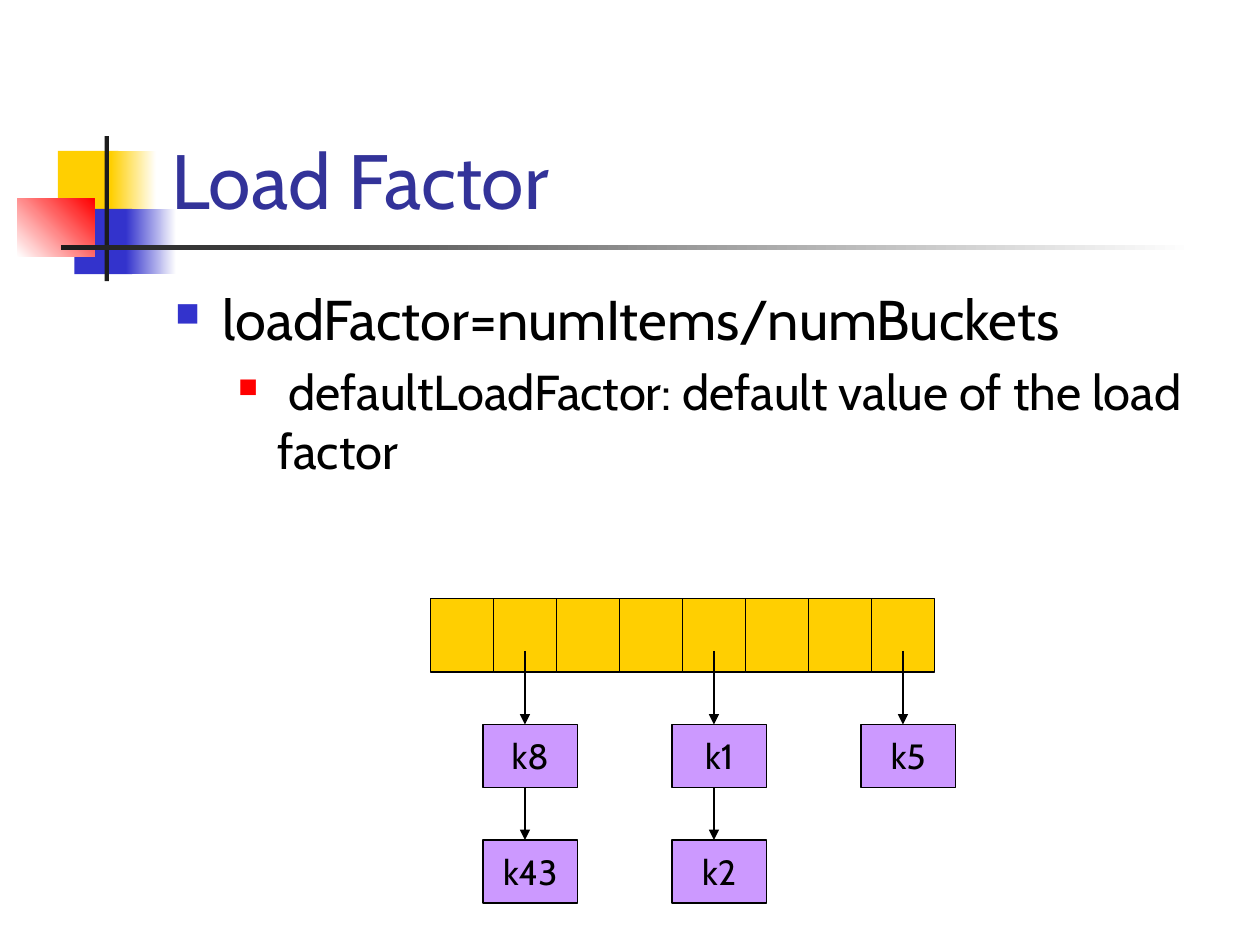
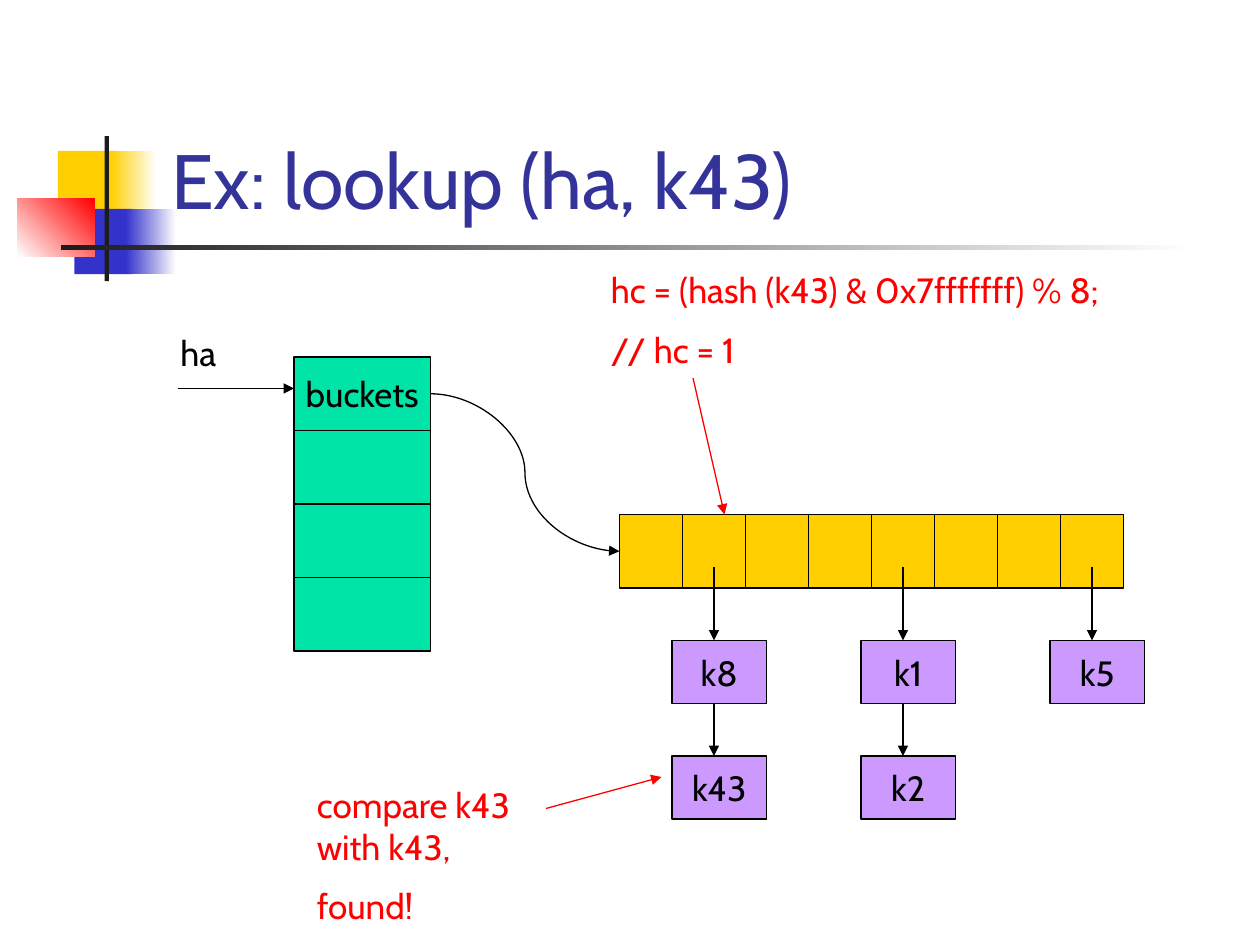
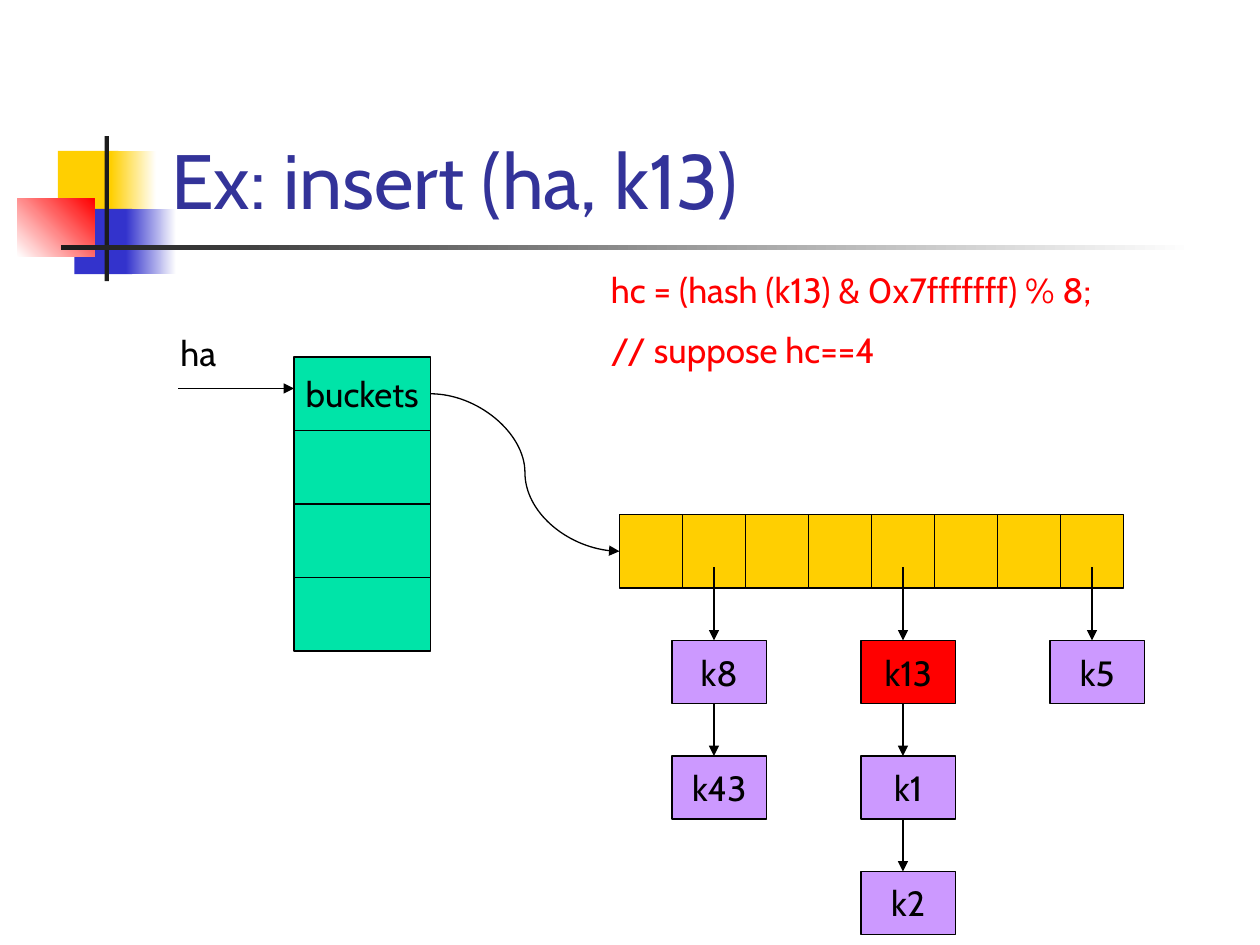
from lxml import etree
from pptx import Presentation
from pptx.dml.color import RGBColor
from pptx.enum import shapes, text
from pptx.oxml import ns
from pptx.util import Pt

FONT = "Cabin"
BLACK = RGBColor(0x00, 0x00, 0x00)
WHITE = RGBColor(0xFF, 0xFF, 0xFF)
INK = RGBColor(0x1C, 0x1C, 0x1C)
TITLE_BLUE = RGBColor(0x33, 0x33, 0x99)
BLUE = RGBColor(0x33, 0x33, 0xCC)
GOLD = RGBColor(0xFF, 0xCF, 0x01)
RED = RGBColor(0xFF, 0x00, 0x00)
GREEN = RGBColor(0x00, 0xE4, 0xA8)
LILAC = RGBColor(0xCC, 0x99, 0xFF)

CELL_W, CELL_H = 36, 42          # one bucket of the array
NODE_W, NODE_H = 54, 36          # one key in a chain
CHAIN_TOP, CHAIN_STEP = 72, 66   # first key below the array top, and key pitch


# Basic parts
def add_run(p, words, size, color):
    r = p.add_run()
    r.text = words
    r.font.name = FONT
    r.font.size = Pt(size)
    r.font.color.rgb = color


def add_text(slide, left, top, width, height, lines, size=20, color=BLACK,
             anchor=text.MSO_ANCHOR.TOP):
    tf = slide.shapes.add_textbox(Pt(left), Pt(top), Pt(width), Pt(height)).text_frame
    tf.word_wrap = True
    tf.vertical_anchor = anchor
    for i, line in enumerate(lines):
        p = tf.paragraphs[0] if i == 0 else tf.add_paragraph()
        if i:
            p.space_before = Pt(size / 2)
        add_run(p, line, size, color)


def add_rect(slide, left, top, width, height):
    sp = slide.shapes.add_shape(shapes.MSO_SHAPE.RECTANGLE,
                                Pt(left), Pt(top), Pt(width), Pt(height))
    sp.shadow.inherit = False
    sp.line.fill.background()
    return sp


def add_box(slide, left, top, width, height, fill, label=None):
    sp = add_rect(slide, left, top, width, height)
    sp.fill.solid()
    sp.fill.fore_color.rgb = fill
    sp.line.color.rgb = BLACK
    sp.line.width = Pt(0.75)
    if label:
        tf = sp.text_frame
        tf.word_wrap = False
        tf.vertical_anchor = text.MSO_ANCHOR.MIDDLE
        p = tf.paragraphs[0]
        p.alignment = text.PP_ALIGN.CENTER
        add_run(p, label, 20, BLACK)


def add_arrow(slide, x1, y1, x2, y2, color=BLACK, kind=shapes.MSO_CONNECTOR.STRAIGHT):
    cx = slide.shapes.add_connector(kind, Pt(x1), Pt(y1), Pt(x2), Pt(y2))
    cx.line.color.rgb = color
    cx.line.width = Pt(0.75)
    etree.SubElement(cx.line._get_or_add_ln(), ns.qn("a:tailEnd"), type="triangle")
    etree.SubElement(cx._element.spPr, ns.qn("a:effectLst"))


# Title band shared by all slides
def add_ornament(slide, left, top):
    parts = [  # x, y, width, height, start colour, end colour, angle
        (23.1, 8.4, 34.6, 37.4, GOLD, None, 0),
        (53.4, 8.4, 25.9, 37.4, GOLD, WHITE, 0),
        (32.5, 41.5, 33.1, 37.4, BLUE, None, 0),
        (62, 41.5, 28.8, 37.4, BLUE, WHITE, 0),
        (0, 35.8, 44, 33.1, WHITE, RED, 45),
        (49.8, 0, 2.5, 82.8, INK, None, 0),
        (24.6, 62.4, 648, 2.5, INK, WHITE, 0),
    ]
    for x, y, width, height, start, end, angle in parts:
        fill = add_rect(slide, left + x, top + y, width, height).fill
        if end is None:
            fill.solid()
            fill.fore_color.rgb = start
        else:
            fill.gradient()
            fill.gradient_angle = angle
            for stop, color in zip(fill.gradient_stops, (start, end)):
                stop.color.rgb = color


def add_titled_slide(prs, title):
    slide = prs.slides.add_slide(prs.slide_layouts[6])
    add_ornament(slide, 10, 77.8)
    add_text(slide, 90.7, 16.6, 613.4, 115.2, [title], 44, TITLE_BLUE,
             text.MSO_ANCHOR.BOTTOM)
    return slide


# Bulleted body
def add_bullets(slide, left, top, width, height, items):
    styles = [  # size, margin, hanging indent, bullet colour, bullet percent
        (32, 27, 27, BLUE, 60),
        (28, 58.5, 22.5, RED, 55),
    ]
    tf = slide.shapes.add_textbox(Pt(left), Pt(top), Pt(width), Pt(height)).text_frame
    tf.word_wrap = True
    for i, (level, words) in enumerate(items):
        size, margin, hang, color, percent = styles[level]
        p = tf.paragraphs[0] if i == 0 else tf.add_paragraph()
        p.level = level
        if i:
            p.space_before = Pt(size / 5)
        pPr = p._p.get_or_add_pPr()
        pPr.set("marL", str(Pt(margin)))
        pPr.set("indent", str(-Pt(hang)))
        clr = etree.SubElement(pPr, ns.qn("a:buClr"))
        etree.SubElement(clr, ns.qn("a:srgbClr"), val=str(color))
        etree.SubElement(pPr, ns.qn("a:buSzPct"), val=str(percent * 1000))
        etree.SubElement(pPr, ns.qn("a:buChar"), char="■")
        add_run(p, words, size, BLACK)


# Bucket array with its chains of keys
def add_hash_table(slide, left, top, chains, new_key=None):
    for i in range(8):
        add_box(slide, left + i * CELL_W, top, CELL_W, CELL_H, GOLD)
    for bucket, keys in chains.items():
        x = left + bucket * CELL_W
        tail = top + 30
        for i, key in enumerate(keys):
            y = top + CHAIN_TOP + i * CHAIN_STEP
            add_box(slide, x - 6, y, NODE_W, NODE_H,
                    RED if key == new_key else LILAC, key)
            add_arrow(slide, x + CELL_W / 2, tail, x + CELL_W / 2, y)
            tail = y + NODE_H


# The hash array record, its pointer and the link to the buckets
def add_record(slide, left, top, label_width):
    for i, label in enumerate(["buckets", None, None, None]):
        add_box(slide, left, top + i * CELL_H, 78, CELL_H, GREEN, label)
    add_arrow(slide, left - 66, top + 18, left, top + 18)
    add_text(slide, left - 72, top - 18, label_width, 31, ["ha"])
    add_arrow(slide, left + 78, top + 21, left + 186, top + 111,
              kind=shapes.MSO_CONNECTOR.CURVE)


def add_example_slide(prs, title, code, chains, label_width, new_key=None):
    slide = add_titled_slide(prs, title)
    add_hash_table(slide, 354, 294, chains, new_key)
    add_record(slide, 168, 204, label_width)
    add_text(slide, 342, 150, 348, 67, code, color=RED)
    return slide


def main():
    prs = Presentation()
    prs.slide_width, prs.slide_height = Pt(720), Pt(540)
    chains = {1: ["k8", "k43"], 4: ["k1", "k2"], 7: ["k5"]}

    # Load factor
    slide = add_titled_slide(prs, "Load Factor")
    add_bullets(slide, 93, 159, 612, 324, [
        (0, "loadFactor=numItems/numBuckets"),
        (1, " defaultLoadFactor: default value of the load factor"),
    ])
    add_hash_table(slide, 246, 342, chains)

    # Lookup
    slide = add_example_slide(
        prs, "Ex: lookup (ha, k43)",
        ["hc = (hash (k43) & 0x7fffffff) % 8;", "// hc = 1"], chains, 78)
    add_arrow(slide, 396, 216, 414, 294, RED)
    add_arrow(slide, 312, 462, 378, 444, RED)
    add_text(slide, 174, 444, 138, 91, ["compare k43 with k43,", "found!"], color=RED)

    # Insert
    add_example_slide(
        prs, "Ex: insert (ha, k13)",
        ["hc = (hash (k13) & 0x7fffffff) % 8;", "// suppose hc==4"],
        {**chains, 4: ["k13", "k1", "k2"]}, 42, "k13")

    prs.save("out.pptx")


if __name__ == "__main__":
    main()
